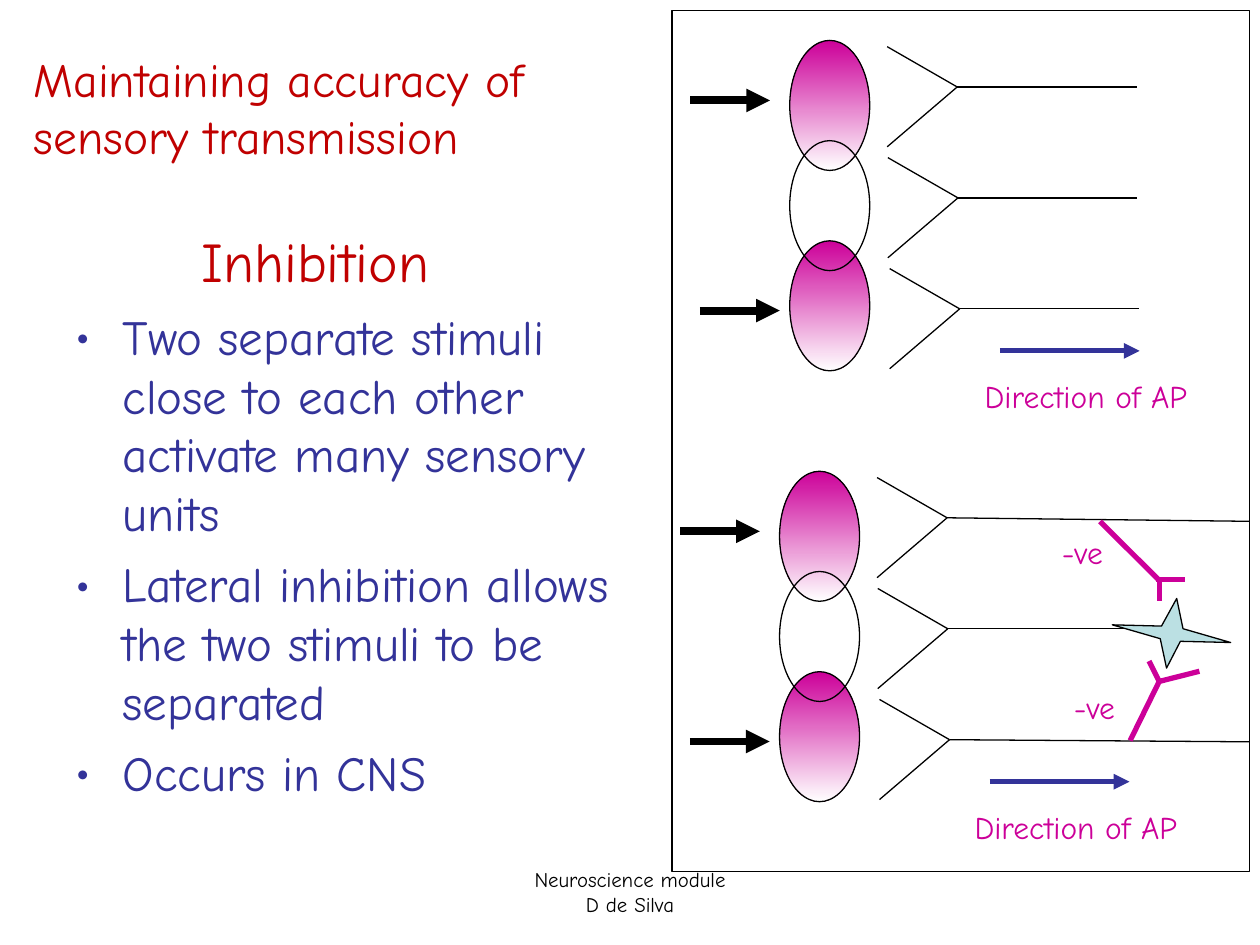
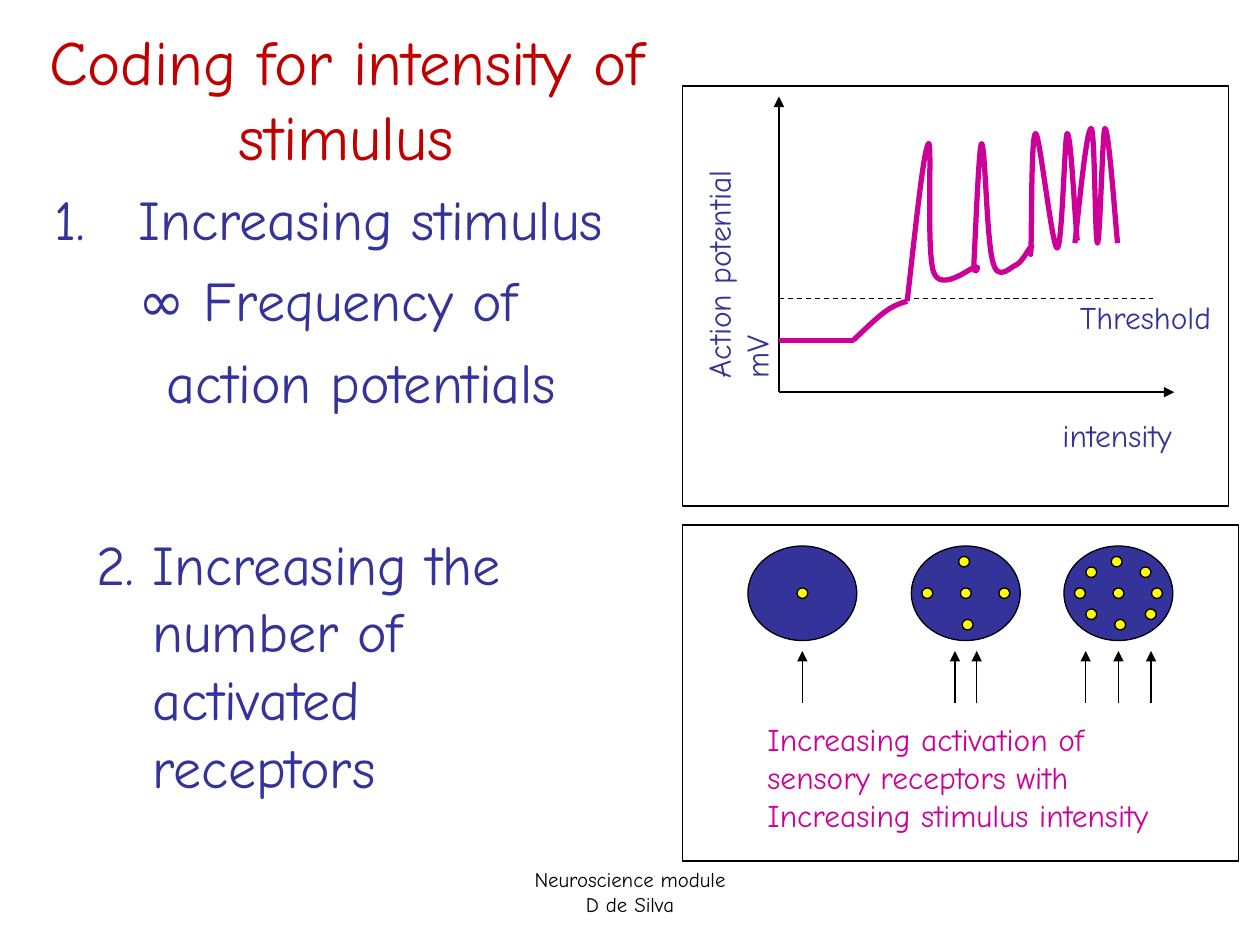
from dataclasses import dataclass
from typing import Any, Optional, Sequence

from lxml.etree import SubElement
from pptx import Presentation
from pptx.dml.color import RGBColor
from pptx.enum.dml import MSO_LINE
from pptx.enum.shapes import MSO_CONNECTOR, MSO_SHAPE
from pptx.enum.text import MSO_ANCHOR, MSO_AUTO_SIZE, PP_ALIGN
from pptx.oxml.ns import qn
from pptx.util import Pt

FONT = "Comic Neue"
RED, BLUE, PINK = "C00000", "333399", "CC0099"
BLACK, WHITE, AQUA, GOLD = "000000", "FFFFFF", "BBE0E3", "FFFF00"
THIN, BOLD, HEAVY = 0.75, 3, 4.5
Point = tuple[float, float]


@dataclass(frozen=True)
class Box:
    left: float
    top: float
    width: float
    height: float

    def lengths(self) -> list[Pt]:
        return [Pt(v) for v in (self.left, self.top, self.width, self.height)]


@dataclass(frozen=True)
class Para:
    text: str
    size: float
    color: str
    before: float = 0
    margin: float = 0
    hang: float = 0
    bullet: str = ""
    number: int = 0
    spacing: float = 1
    align: PP_ALIGN = PP_ALIGN.LEFT


@dataclass(frozen=True)
class Line:
    start: Point
    end: Point
    color: str = BLACK
    width: float = THIN
    arrow: bool = False
    dash: bool = False


@dataclass(frozen=True)
class Disc:
    x: float
    dots: tuple[Point, ...]
    arrows: tuple[float, ...]


def paint(color: str) -> RGBColor:
    return RGBColor.from_string(color)


def set_bullet(props: Any, para: Para) -> None:
    tint = SubElement(props, qn("a:buClr"))
    SubElement(tint, qn("a:srgbClr"), val=para.color)
    SubElement(props, qn("a:buFont"), typeface=FONT)
    if para.bullet:
        SubElement(props, qn("a:buChar"), char=para.bullet)
    else:
        SubElement(props, qn("a:buAutoNum"), type="arabicPeriod", startAt=str(para.number))


def write(frame: Any, paras: Sequence[Para]) -> None:
    frame.word_wrap = True
    frame.auto_size = MSO_AUTO_SIZE.NONE
    for index, para in enumerate(paras):
        item = frame.add_paragraph() if index else frame.paragraphs[0]
        props = item._p.get_or_add_pPr()
        props.set("marL", str(Pt(para.margin)))
        props.set("indent", str(Pt(-para.hang)))
        if para.bullet or para.number:
            set_bullet(props, para)
        item.alignment = para.align
        item.line_spacing = para.spacing
        item.space_before = Pt(para.before)
        run = item.add_run()
        run.text = para.text
        run.font.name = FONT
        run.font.size = Pt(para.size)
        run.font.color.rgb = paint(para.color)


def add_text(slide: Any, box: Box, paras: Sequence[Para], turn: float = 0) -> None:
    shape = slide.shapes.add_textbox(*box.lengths())
    shape.rotation = turn
    write(shape.text_frame, paras)


def add_label(slide: Any, box: Box, color: str, *lines: str, turn: float = 0) -> None:
    add_text(slide, box, [Para(line, 18, color) for line in lines], turn)


def style(shape: Any, fill: Optional[str], line: str = BLACK, width: float = THIN) -> None:
    shape.shadow.inherit = False
    if fill:
        shape.fill.solid()
        shape.fill.fore_color.rgb = paint(fill)
    else:
        shape.fill.background()
    shape.line.color.rgb = paint(line)
    shape.line.width = Pt(width)


def add_shape(slide: Any, kind: MSO_SHAPE, box: Box, fill: Optional[str]) -> Any:
    shape = slide.shapes.add_shape(kind, *box.lengths())
    style(shape, fill)
    return shape


def add_oval(slide: Any, box: Box, fill: Optional[str]) -> Any:
    return add_shape(slide, MSO_SHAPE.OVAL, box, fill)


def add_panel(slide: Any, box: Box) -> None:
    add_shape(slide, MSO_SHAPE.RECTANGLE, box, WHITE)


def add_line(slide: Any, line: Line) -> None:
    ends = [Pt(v) for v in (*line.start, *line.end)]
    link = slide.shapes.add_connector(MSO_CONNECTOR.STRAIGHT, *ends)
    link.line.color.rgb = paint(line.color)
    link.line.width = Pt(line.width)
    if line.dash:
        link.line.dash_style = MSO_LINE.DASH
    if line.arrow:
        SubElement(link.line._get_or_add_ln(), qn("a:tailEnd"), type="triangle")
    SubElement(link._element.spPr, qn("a:effectLst"))


def add_path(slide: Any, points: Sequence[Point], close: bool = False) -> Any:
    spots = [(Pt(x), Pt(y)) for x, y in points]
    build = slide.shapes.build_freeform(*spots[0])
    build.add_line_segments(spots[1:], close=close)
    return build.convert_to_shape()


def add_curve(slide: Any, start: Point, curves: Sequence[tuple[float, ...]]) -> None:
    shape = add_path(slide, [start, *(curve[-2:] for curve in curves)])
    parts = list(shape._element.iter(qn("a:lnTo")))
    for part, curve in zip(parts, curves):
        if len(curve) == 2:
            continue
        part.tag = qn("a:cubicBezTo")
        for old in list(part):
            part.remove(old)
        for x, y in zip(curve[::2], curve[1::2]):
            SubElement(part, qn("a:pt"), x=str(Pt(x) - shape.left), y=str(Pt(y) - shape.top))
    style(shape, None, PINK, BOLD)


def start_slide(deck: Any, box: Box, title: Para) -> Any:
    slide = deck.slides.add_slide(deck.slide_layouts[5])
    head = slide.shapes.title
    head.left, head.top, head.width, head.height = box.lengths()
    head.text_frame.vertical_anchor = MSO_ANCHOR.MIDDLE
    write(head.text_frame, [title])
    add_text(slide, Box(246, 491.5, 228, 37.5), [
        Para(text, 11.9, BLACK, align=PP_ALIGN.CENTER)
        for text in ("Neuroscience module", "D de Silva")])
    return slide


def draw_units(slide: Any, dx: float, dy: float, ends: Sequence[Point]) -> None:
    for row, fill in ((2, PINK), (0, PINK), (1, None)):
        oval = add_oval(slide, Box(451.3 + dx, 23.1 + 57.25 * row + dy, 45.7, 74.3), fill)
        if fill:
            oval.fill.gradient()
            oval.fill.gradient_angle = 270
            for stop, color in zip(oval.fill.gradient_stops, (fill, WHITE)):
                stop.color.rgb = paint(color)
    for row, (shift, end) in enumerate(zip((0, 0.4, 1.4), ends)):
        x, y = 547 + shift + dx, 49.7 + 63.4 * row + dy
        for rise in (-23, 34.2):
            add_line(slide, Line((x - 40, y + rise), (x, y)))
        add_line(slide, Line((x, y), (end[0], y + end[1])))
    for x, y in ((394.4, 57.4), (400, 177.5)):
        add_line(slide, Line((x + dx, y + dy), (x + 45.6 + dx, y + dy), width=HEAVY, arrow=True))
    add_line(slide, Line((571.3 + dx, 200.5 + dy), (651.2 + dx, 200.5 + dy), BLUE, BOLD, True))
    add_label(slide, Box(555.6 + dx, 211.7 + dy, 135, 29), PINK, "Direction of AP")


def draw_block(slide: Any) -> None:
    for points in (((645.8, 423.2), (662.4, 389.4), (656.6, 377.8)),
                   ((662.4, 389.4), (685.4, 383.6)),
                   ((628.6, 298), (662.4, 331.6), (662.4, 343.4)),
                   ((660.4, 331.2), (677.4, 331.2))):
        for start, end in zip(points, points[1:]):
            add_line(slide, Line(start, end, PINK, BOLD))
    star = add_path(slide, [(635.6, 357.1), (663.7, 357.8), (672.4, 342), (676, 359.3),
                            (703.2, 367.2), (674.5, 366.5), (666.6, 381.8), (663, 365)], True)
    style(star, AQUA)
    for x, y in ((599.7, 301), (606.6, 389.8)):
        add_label(slide, Box(x, y, 47, 29), PINK, "-ve")


def draw_graph(slide: Any) -> None:
    add_panel(slide, Box(390, 49.2, 312, 240))
    base = (445.1, 224.1)
    for end in ((445.1, 55.2), (671, 224.1)):
        add_line(slide, Line(base, end, arrow=True))
    add_label(slide, Box(600, 234, 96, 29), BLUE, "intensity")
    add_label(slide, Box(333.4, 110.2, 175.7, 50.4), BLUE, "Action potential", "mV", turn=270)
    add_line(slide, Line((445, 194.5), (487.8, 194.5), PINK, BOLD))
    add_curve(slide, (487.6, 194.4), [
        (494.6, 187.9, 501.1, 181.4, 506.2, 177.8), (511.2, 174.2, 516.2, 172.8, 518.4, 172.1)])
    add_line(slide, Line((445, 170.7), (659, 170.7), dash=True))
    add_label(slide, Box(610, 166.7, 110, 29), BLUE, "Threshold")
    add_curve(slide, (614.2, 139), [
        (615.6, 128.2, 620.6, 73.4, 623.5, 73.4), (625.7, 73.4, 625.7, 139, 627.1, 139),
        (628.6, 139, 630, 73.4, 631.4, 73.4), (633.6, 73.4, 637.2, 125.3, 638.6, 139)])
    add_curve(slide, (518.4, 172.1), [
        (523.4, 128.2, 527.8, 85, 530.6, 82.1), (532.8, 79.2, 529.2, 143.3, 533.5, 155.5),
        (537.8, 167, 553.7, 153.4, 557.3, 152.6), (560.9, 151.2, 555.8, 160.6, 556.6, 149),
        (557.3, 136.8, 559.4, 82.1, 560.9, 82.1), (563, 82.1, 563.8, 138.2, 567.4, 149.8),
        (570.2, 161.3, 577.4, 152.6, 581, 151.2), (584.6, 149, 587.5, 142.6, 589, 141.1),
        (590.4, 139.7, 589, 141.1, 589, 141.8), (589, 145.4),
        (589.7, 134.6, 589, 77, 591.8, 76.3),
        (594, 75.6, 601.2, 141.8, 604.1, 141.8), (607, 141.8, 608.4, 77, 609.8, 76.3),
        (612, 75.6, 614.2, 125.3, 615.6, 137.5)])


def draw_discs(slide: Any) -> None:
    add_panel(slide, Box(390, 300, 317.6, 192))
    core = ((0, 0),)
    cross = ((-1, -18), (-22, 0), (22, 0), (1, 18))
    ring = ((-15.5, -12), (15.5, -12), (-15.5, 12), (18.5, 12))
    for disc in (Disc(458.5, core, (0,)),
                 Disc(551.9, core + cross, (-6.2, 6.2)),
                 Disc(639.1, core + cross + ring, (-18.7, 0, 18.7))):
        add_oval(slide, Box(disc.x - 31.1, 312, 62.2, 54), BLUE)
        for x, y in disc.dots:
            add_oval(slide, Box(disc.x + x - 3.1, 339 + y - 3, 6.2, 6), GOLD)
        for x in disc.arrows:
            add_line(slide, Line((disc.x + x, 402), (disc.x + x, 372), arrow=True))
    add_label(slide, Box(431.5, 408.2, 238, 72), PINK, "Increasing activation of",
              "sensory receptors with", "Increasing stimulus intensity")


def make_first(deck: Any) -> None:
    slide = start_slide(deck, Box(12, 24, 390, 74),
                        Para("Maintaining accuracy of sensory transmission", 27.2, RED))
    points = ("Two separate stimuli close to each other activate many sensory units",
              "Lateral inhibition allows the two stimuli to be separated",
              "Occurs in CNS")
    add_text(slide, Box(36, 126, 330, 356), [
        Para("Inhibition", 32, RED, margin=72),
        *(Para(text, 28, BLUE, 7, 27, 27, "•") for text in points)])
    add_panel(slide, Box(384, 6, 330, 492))
    draw_units(slide, 0, 0, ((649.6, 0), (650, 0), (651, 0)))
    draw_units(slide, -5.8, 246.2, ((714, 2), (644.4, 0), (714, 1.2)))
    draw_block(slide)


def make_second(deck: Any) -> None:
    slide = start_slide(deck, Box(12, 21.6, 372, 68.4),
                        Para("Coding for intensity of stimulus", 36, RED, align=PP_ALIGN.CENTER))
    add_text(slide, Box(24, 102, 354, 144), [
        Para("Increasing stimulus", 32, BLUE, margin=48, hang=48, number=1),
        Para("∞ Frequency of", 32, BLUE, 8, 48),
        Para("action potentials", 32, BLUE, 8, 64.2)])
    draw_graph(slide)
    add_text(slide, Box(48, 306.2, 277, 193), [
        Para("2. Increasing the", 32, BLUE, margin=27, hang=27, spacing=0.8),
        *(Para(word, 32, BLUE, 8, 32, spacing=0.8)
          for word in ("number of", "activated", "receptors"))])
    draw_discs(slide)


def main() -> None:
    deck = Presentation()
    deck.slide_width, deck.slide_height = Pt(720), Pt(540)
    make_first(deck)
    make_second(deck)
    deck.save("out.pptx")


if __name__ == "__main__":
    main()
